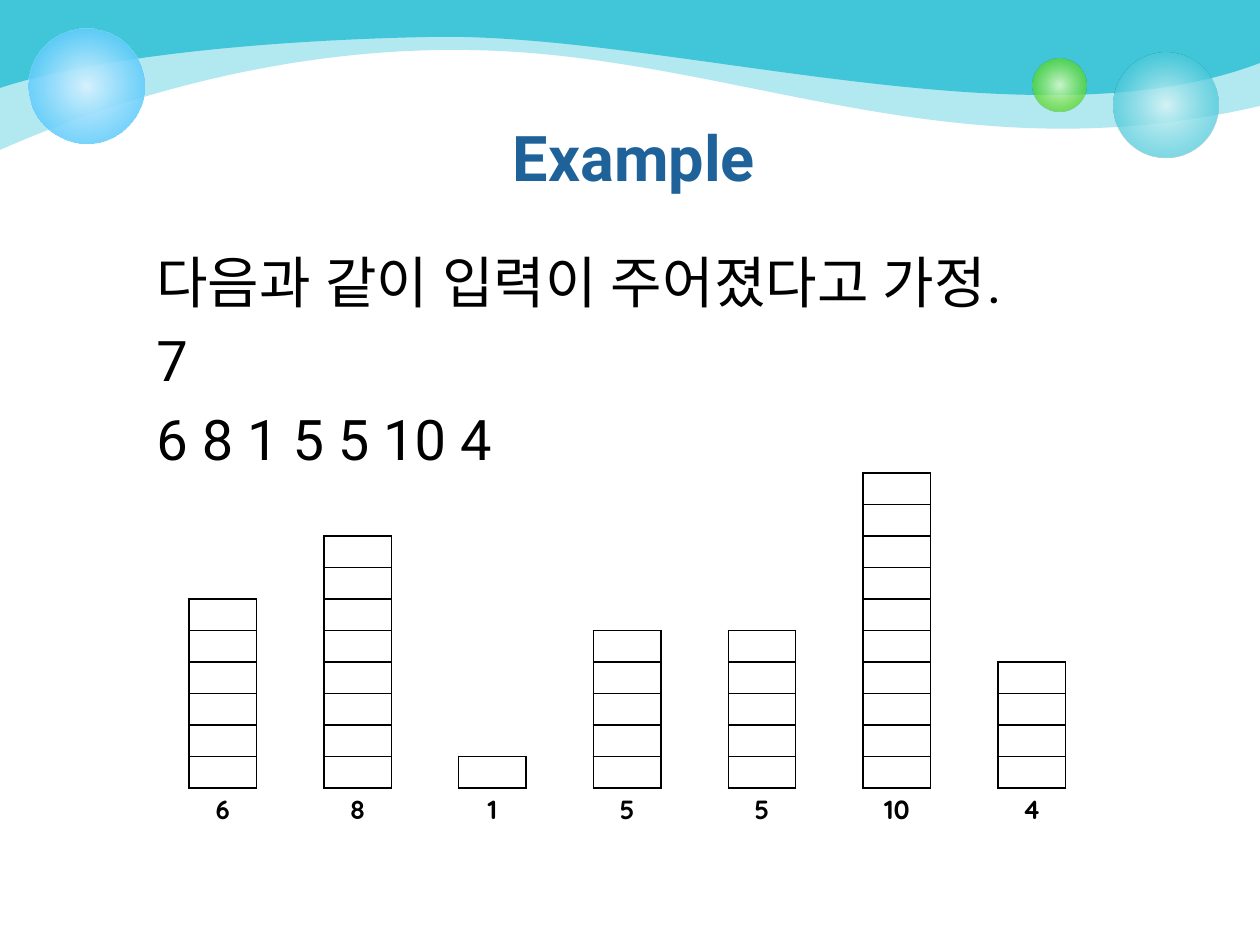
from lxml.etree import SubElement
from pptx import Presentation
from pptx.dml.color import RGBColor
from pptx.enum.shapes import MSO_SHAPE
from pptx.enum.text import MSO_ANCHOR, PP_ALIGN
from pptx.oxml.ns import qn
from pptx.util import Emu, Pt

HEIGHTS = [6, 8, 1, 5, 5, 10, 4]
LEVELS = max(HEIGHTS)
NO_STYLE_NO_GRID = "{2D5ABB26-0587-4C30-8999-92F81FD0307C}"
TEAL = "40C6D8"

# Lower edge of each wave in px: a start, then two controls and an end for each curve
BACK_WAVE = [(0, 150), (42, 132), (248, 39), (499, 51), (750, 63), (960, 176), (1260, 106)]
FRONT_WAVE = [(0, 88), (57, 69), (193, 42), (430, 37), (667, 32), (1033, 150), (1260, 63)]


def px(n):
    return Emu(round(n * 914400 / 126))


def rgb(value):
    return RGBColor.from_string(value)


def add(parent, tag, **attributes):
    return SubElement(parent, qn(tag), attributes)


def add_color(parent, value, alpha=100):
    color = add(parent, "a:srgbClr", val=value)
    if alpha < 100:
        add(color, "a:alpha", val=str(alpha * 1000))


def style_font(font, name, size, color, bold=False):
    font.name, font.size, font.bold = name, Pt(size), bold
    font.color.rgb = rgb(color)
    add(font._rPr, "a:ea", typeface=name)


def bend_edge(shape, curve_count):
    """Turn each three straight segments of the lower edge into one curve."""
    outline = next(shape._element.iter(qn("a:path")))
    segments = outline.findall(qn("a:lnTo"))[1:]
    for index in range(curve_count):
        trio = segments[3 * index:3 * index + 3]
        curve = add(outline, "a:cubicBezTo")
        trio[0].addprevious(curve)
        for segment in trio:
            curve.append(segment[0])
            outline.remove(segment)


def add_wave(slide, edge, alpha):
    builder = slide.shapes.build_freeform(0, 0)
    builder.add_line_segments([(px(x), px(y)) for x, y in edge + [(1260, 0)]], close=True)
    wave = builder.convert_to_shape()
    bend_edge(wave, len(edge) // 3)
    wave.shadow.inherit = False
    wave.line.fill.background()
    wave.fill.solid()
    wave.fill.fore_color.rgb = rgb(TEAL)
    if alpha < 100:
        color = wave.fill._xPr.find(qn("a:solidFill")).find(qn("a:srgbClr"))
        add(color, "a:alpha", val=str(alpha * 1000))


def add_bubble(slide, left, top, size, stops):
    """Stops are (position, colour, opacity) from the centre outwards."""
    bubble = slide.shapes.add_shape(MSO_SHAPE.OVAL, px(left), px(top), px(size), px(size))
    bubble.shadow.inherit = False
    bubble.line.fill.background()
    bubble.fill.gradient()
    gradient = bubble.fill._xPr.find(qn("a:gradFill"))
    for child in list(gradient):
        gradient.remove(child)
    stop_list = add(gradient, "a:gsLst")
    for position, color, alpha in stops:
        add_color(add(stop_list, "a:gs", pos=str(position * 1000)), color, alpha)
    circle = add(gradient, "a:path", path="circle")
    add(circle, "a:fillToRect", l="50000", t="50000", r="50000", b="50000")


def add_decoration(slide):
    add_wave(slide, BACK_WAVE, 40)
    add_wave(slide, FRONT_WAVE, 100)
    add_bubble(slide, 1113, 53, 105, [(0, "D9F4F7", 90), (76, TEAL, 70)])
    add_bubble(slide, 1033, 59, 53, [(0, "DAFACD", 90), (76, "4CD416", 70)])
    add_bubble(slide, 29, 29, 115, [(0, "D6F2FE", 100), (100, "33BDFB", 80)])


def place_title(slide, left, top, width, height):
    title = slide.shapes.title
    title.left, title.top, title.width, title.height = map(px, (left, top, width, height))
    slide.shapes._spTree.append(title._element)  # in front of the decoration
    title.text_frame.text = "Example"
    title.text_frame.vertical_anchor = MSO_ANCHOR.TOP
    heading = title.text_frame.paragraphs[0]
    heading.alignment = PP_ALIGN.CENTER
    style_font(heading.font, "Roboto", 36, "1F6299", bold=True)


def add_input(slide, left, top, width, height):
    frame = slide.shapes.add_textbox(*map(px, (left, top, width, height))).text_frame
    frame.word_wrap = True
    frame.text = "\n".join(["다음과 같이 입력이 주어졌다고 가정.",
                            str(len(HEIGHTS)), " ".join(map(str, HEIGHTS))])
    for line in frame.paragraphs:
        line.space_before = Pt(6.4)
        style_font(line.font, "Roboto", 32, "000000")


def is_block(row, column):
    if column % 2 or not 0 <= column < 2 * len(HEIGHTS) - 1:
        return False
    return LEVELS - HEIGHTS[column // 2] <= row < LEVELS


def add_borders(cell, row, column):
    """Draw each edge that touches a block on either side, and clear the others."""
    properties = cell._tc.get_or_add_tcPr()
    neighbours = {"a:lnL": (row, column - 1), "a:lnR": (row, column + 1),
                  "a:lnT": (row - 1, column), "a:lnB": (row + 1, column)}
    for edge, neighbour in neighbours.items():
        line = add(properties, edge, w=str(Pt(1)))
        if is_block(row, column) or is_block(*neighbour):
            add_color(add(line, "a:solidFill"), "000000")
        else:
            add(line, "a:noFill")


def add_stacks(slide, left, top, width, height, label_height):
    columns = 2 * len(HEIGHTS) - 1
    table = slide.shapes.add_table(LEVELS + 1, columns,
                                   *map(px, (left, top, width, height))).table
    table.first_row = table.horz_banding = False
    table._tbl.tblPr.find(qn("a:tableStyleId")).text = NO_STYLE_NO_GRID
    for table_row in table.rows:
        table_row.height = px((height - label_height) / LEVELS)
    table.rows[LEVELS].height = px(label_height)

    for index, cell in enumerate(table.iter_cells()):
        row, column = divmod(index, columns)
        cell.margin_left = cell.margin_right = cell.margin_top = cell.margin_bottom = 0
        cell.vertical_anchor = MSO_ANCHOR.MIDDLE
        add_borders(cell, row, column)
        if row < LEVELS:
            cell.fill.solid()
            cell.fill.fore_color.rgb = rgb("FFFFFF")
        else:
            cell.fill.background()
        label = cell.text_frame.paragraphs[0]
        if row == LEVELS and column % 2 == 0:
            label.text = str(HEIGHTS[column // 2])
            label.alignment = PP_ALIGN.CENTER
            style_font(label.font, "Quicksand", 15, "000000", bold=True)
        else:
            add(label._p, "a:endParaRPr", sz="800")  # keeps empty rows low


def main():
    deck = Presentation()
    deck.slide_width, deck.slide_height = px(1260), px(945)
    slide = deck.slides.add_slide(deck.slide_layouts[5])
    add_decoration(slide)
    place_title(slide, 67, 112, 1134, 96)
    add_input(slide, 144, 241, 966, 536)
    add_stacks(slide, 189, 473, 877, 359, label_height=44)
    deck.save("out.pptx")


if __name__ == "__main__":
    main()
